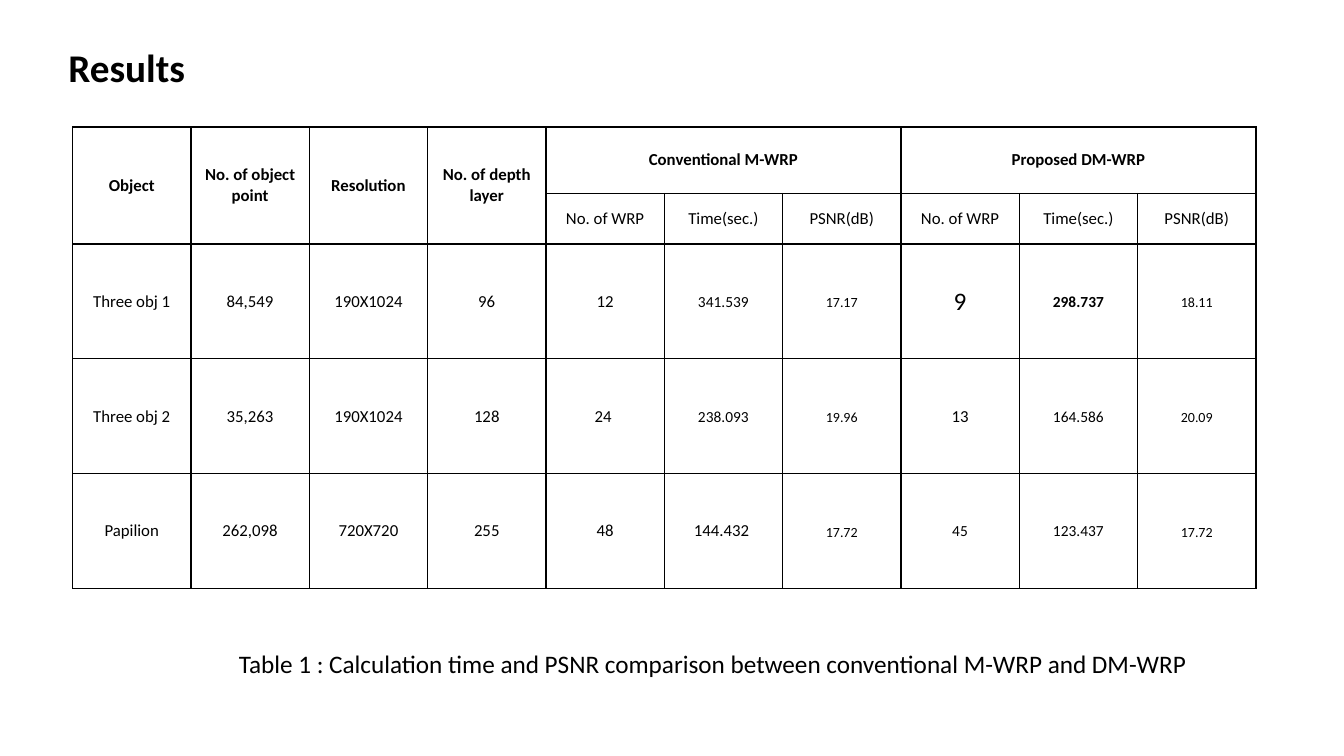
from dataclasses import dataclass

from pptx import Presentation, util as u
from pptx.dml.color import RGBColor
from pptx.enum import text
from pptx.oxml.xmlchemy import OxmlElement

# Content
TITLE = "Results"
CAPTION = "Table 1 : Calculation time and PSNR comparison between conventional M-WRP and DM-WRP"
TALL_HEADERS = ["Object", "No. of object point", "Resolution", "No. of depth layer"]
METHODS = ["Conventional M-WRP", "Proposed DM-WRP"]
MEASURES = ["No. of WRP", "Time(sec.)", "PSNR(dB)"]
RESULTS = [
    ["Three obj 1", "84,549", "190X1024", "96", "12", "341.539", "17.17", "9", "298.737", "18.11"],
    ["Three obj 2", "35,263", "190X1024", "128", "24 ", "238.093", "19.96", "13", "164.586", "20.09"],
    ["Papilion", "262,098", "720X720", "255", "48", "144.432 ", "17.72", "45", "123.437", "17.72"],
]
BEST_TIME = "298.737"


@dataclass(frozen=True)
class Theme:
    font: str = "Calibri"
    ink: RGBColor = RGBColor(0, 0, 0)
    title: int = 28
    caption: int = 18
    body: int = 12
    time: int = 11
    psnr: int = 10
    border: float = 1


THEME = Theme()
SIZE_BY_MEASURE = {"No. of WRP": THEME.body, "Time(sec.)": THEME.time, "PSNR(dB)": THEME.psnr}
SIZE_EXCEPTIONS = {"9": THEME.caption, "144.432 ": THEME.body, "45": THEME.time}

# Grid, in inches
PAGE_W, PAGE_H = 13.33, 7.5
TABLE_LEFT, TABLE_TOP, TABLE_W = 0.72, 1.26, 11.74
ROW_HEIGHTS = [0.66, 0.5] + [1.14] * len(RESULTS)
COLUMNS = len(TALL_HEADERS) + len(METHODS) * len(MEASURES)


def add_span(para, words, size, bold=False):
    span = para.add_run()
    span.text = words
    span.font.name, span.font.size, span.font.bold = THEME.font, u.Pt(size), bold
    span.font.color.rgb = THEME.ink


def add_label(page, words, place, size, bold=False):
    box = page.shapes.add_textbox(*(u.Inches(length) for length in place))
    box.text_frame.word_wrap = False
    box.text_frame.auto_size = text.MSO_AUTO_SIZE.SHAPE_TO_FIT_TEXT
    add_span(box.text_frame.paragraphs[0], words, size, bold)


def outline(cell):
    cell.fill.background()
    props = cell._tc.get_or_add_tcPr()
    for position, side in enumerate(("a:lnL", "a:lnR", "a:lnT", "a:lnB")):
        line = OxmlElement(side)
        line.set("w", str(u.Pt(THEME.border)))
        fill = OxmlElement("a:solidFill")
        color = OxmlElement("a:srgbClr")
        color.set("val", str(THEME.ink))
        fill.append(color)
        line.append(fill)
        props.insert(position, line)


def write_cell(cell, words, size=THEME.body, bold=False):
    cell.vertical_anchor = text.MSO_ANCHOR.MIDDLE
    para = cell.text_frame.paragraphs[0]
    para.alignment = text.PP_ALIGN.CENTER
    if size == THEME.time:
        cell.margin_left = cell.margin_right = cell.margin_top = u.Inches(0.01)
        cell.margin_bottom = 0
    if size == THEME.psnr:
        para.line_spacing = 1.15
    add_span(para, words, size, bold)


def add_results_table(page):
    frame = page.shapes.add_table(
        len(ROW_HEIGHTS), COLUMNS, u.Inches(TABLE_LEFT), u.Inches(TABLE_TOP),
        u.Inches(TABLE_W), u.Inches(sum(ROW_HEIGHTS)))
    table = frame.table
    table.first_row = table.horz_banding = False
    for column in table.columns:
        column.width = u.Inches(TABLE_W / COLUMNS)
    for row, height in zip(table.rows, ROW_HEIGHTS):
        row.height = u.Inches(height)
    for cell in table.iter_cells():
        outline(cell)

    # Header rows
    for col, words in enumerate(TALL_HEADERS):
        table.cell(0, col).merge(table.cell(1, col))
        write_cell(table.cell(0, col), words, bold=True)
    for group, method in enumerate(METHODS):
        first = len(TALL_HEADERS) + group * len(MEASURES)
        table.cell(0, first).merge(table.cell(0, first + len(MEASURES) - 1))
        write_cell(table.cell(0, first), method, bold=True)
        for offset, measure in enumerate(MEASURES):
            write_cell(table.cell(1, first + offset), measure)

    # Result rows
    sizes = [THEME.body] * len(TALL_HEADERS)
    sizes += [SIZE_BY_MEASURE[measure] for measure in MEASURES] * len(METHODS)
    for row, values in enumerate(RESULTS, start=2):
        for col, (words, size) in enumerate(zip(values, sizes)):
            write_cell(table.cell(row, col), words,
                       SIZE_EXCEPTIONS.get(words, size), words == BEST_TIME)


def main():
    deck = Presentation()
    deck.slide_width, deck.slide_height = u.Inches(PAGE_W), u.Inches(PAGE_H)
    page = deck.slides.add_slide(deck.slide_layouts[6])
    add_label(page, CAPTION, (2.27, 6.38, 9.7, 0.4), THEME.caption)
    add_results_table(page)
    add_label(page, TITLE, (0.58, 0.38, 1.37, 0.57), THEME.title, bold=True)
    deck.save("out.pptx")


if __name__ == "__main__":
    main()
